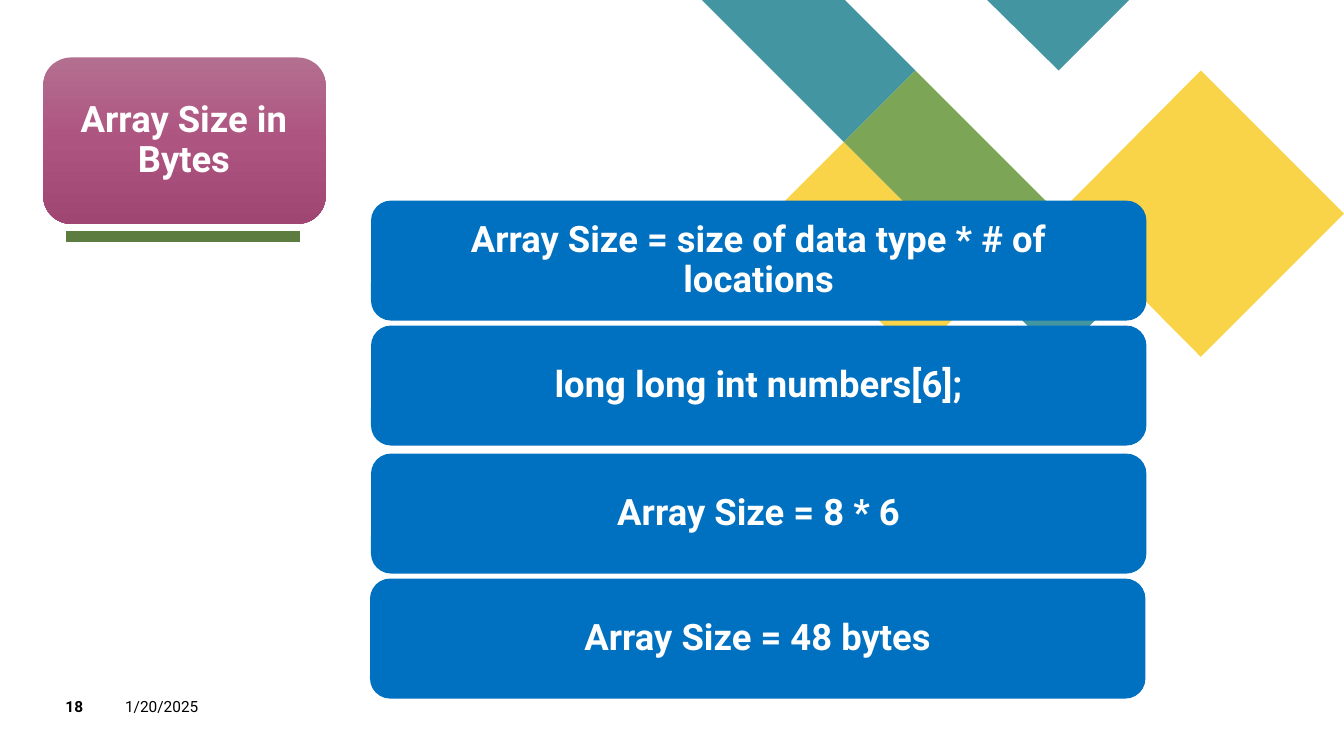
from copy import deepcopy

from lxml import etree
from pptx import Presentation
from pptx.dml.color import RGBColor
from pptx.enum.shapes import MSO_CONNECTOR, MSO_SHAPE
from pptx.enum.text import MSO_ANCHOR, MSO_AUTO_SIZE, PP_ALIGN
from pptx.oxml.ns import qn
from pptx.util import Pt

PX = 9144
FONT = "Roboto"
ROUNDED = MSO_SHAPE.ROUNDED_RECTANGLE
STRAIGHT = MSO_CONNECTOR.STRAIGHT
CENTER, LEFT = PP_ALIGN.CENTER, PP_ALIGN.LEFT
MIDDLE, TOP = MSO_ANCHOR.MIDDLE, MSO_ANCHOR.TOP
NO_FIT = MSO_AUTO_SIZE.NONE

TEAL, YELLOW, GREEN = "4495A2", "F9D448", "7CA655"
DIAMONDS = [
    (TEAL, [[(908, 70), (838, 0), (696, 0), (837, 141)],
            [(1121, 283), (1050, 212), (979, 283), (1050, 354)]]),
    (YELLOW, [[(837, 141), (766, 212), (908, 354), (979, 283)]]),
    (TEAL, [[(1120, 0), (979, 0), (1050, 70)]]),
    (GREEN, [[(908, 70), (837, 141), (979, 283), (1050, 212)]]),
    (YELLOW, [[(1333, 212), (1191, 70), (1050, 212), (1191, 354)]]),
]
TITLE_STOPS = [(0, "B36F8F"), (0.5, "AE5481"), (1, "9F4673")]
STEPS = [
    (368, 199, "Array Size = size of data type * # of locations"),
    (368, 323, "long long int numbers[6];"),
    (368, 450, "Array Size = 8 * 6"),
    (367, 574, "Array Size = 48 bytes"),
]


def px(*lengths):
    """Turn pixel lengths into EMU."""
    return [length * PX for length in lengths]


def color(value):
    """Return the colour of a hex string."""
    return RGBColor.from_string(value)


def write(shape, text, size, font_color, bold, align, anchor, margins):
    """Put one formatted run into a shape."""
    frame = shape.text_frame
    frame.word_wrap = True
    frame.auto_size = NO_FIT
    frame.vertical_anchor = anchor
    side, edge = px(*margins)
    frame.margin_left = frame.margin_right = side
    frame.margin_top = frame.margin_bottom = edge
    paragraph = frame.paragraphs[0]
    paragraph.alignment = align
    paragraph.space_before = Pt(0)
    paragraph.line_spacing = 0.9 if anchor == MIDDLE else 1.0
    run = paragraph.add_run()
    run.text = text
    run.font.name = FONT
    run.font.size = Pt(size)
    run.font.bold = bold
    run.font.color.rgb = color(font_color)


def add_diamonds(slide, fill, contours):
    """Draw closed outlines as one borderless shape."""
    builder = slide.shapes.build_freeform(*contours[0][0], scale=PX)
    builder.add_line_segments(contours[0][1:])
    for contour in contours[1:]:
        builder.move_to(*contour[0])
        builder.add_line_segments(contour[1:])
    shape = builder.convert_to_shape()
    shape.shadow.inherit = False
    shape.fill.solid()
    shape.fill.fore_color.rgb = color(fill)
    shape.line.fill.background()


def add_card(slide, left, top, width, height):
    """Add a borderless rounded rectangle."""
    card = slide.shapes.add_shape(ROUNDED, *px(left, top, width, height))
    card.shadow.inherit = False
    card.adjustments[0] = 0.167
    card.line.fill.background()
    return card


def add_step(slide, left, top, text):
    """Add a blue bar with its centred text."""
    bar = add_card(slide, left, top, 769, 119)
    bar.fill.solid()
    bar.fill.fore_color.rgb = color("0070C0")
    write(bar, text, 26, "FFFFFF", True, CENTER, MIDDLE, (29, 11))


def add_title(slide, text):
    """Set the slide title on its gradient card."""
    card = add_card(slide, 43, 57, 280, 165)
    card.fill.gradient()
    card.fill.gradient_angle = 270
    stop_list = card.element.find(".//" + qn("a:gsLst"))
    stop_list.insert(1, deepcopy(stop_list[0]))
    for stop, (position, value) in zip(card.fill.gradient_stops, TITLE_STOPS):
        stop.position = position
        stop.color.rgb = color(value)
    title = slide.shapes.title
    title.left, title.top, title.width, title.height = px(51, 65, 263, 149)
    write(title, text, 26, "FFFFFF", True, CENTER, MIDDLE, (11, 11))
    card.element.addnext(title.element)


def add_rule(slide, left, right, y):
    """Add the thick green line under the title."""
    rule = slide.shapes.add_connector(STRAIGHT, *px(left, y, right, y))
    rule.line.color.rgb = color("5D7D40")
    rule.line.width = Pt(8)
    etree.SubElement(rule.element.spPr, qn("a:effectLst"))


def add_footer(slide, left, width, text, bold):
    """Add a small text at the foot of the slide."""
    box = slide.shapes.add_textbox(*px(left, 692, width, 27))
    write(box, text, 11, "000000", bold, LEFT, TOP, (0, 0))


def main():
    """Build and save the slide."""
    presentation = Presentation()
    presentation.slide_width, presentation.slide_height = px(1333, 750)
    slide = presentation.slides.add_slide(presentation.slide_layouts[5])
    for fill, contours in DIAMONDS:
        add_diamonds(slide, fill, contours)
    add_rule(slide, 65, 298, 235)
    add_footer(slide, 65, 57, "18", True)
    add_footer(slide, 124, 144, "1/20/2025", False)
    add_title(slide, "Array Size in Bytes")
    for left, top, text in STEPS:
        add_step(slide, left, top, text)
    presentation.save("out.pptx")


if __name__ == "__main__":
    main()
